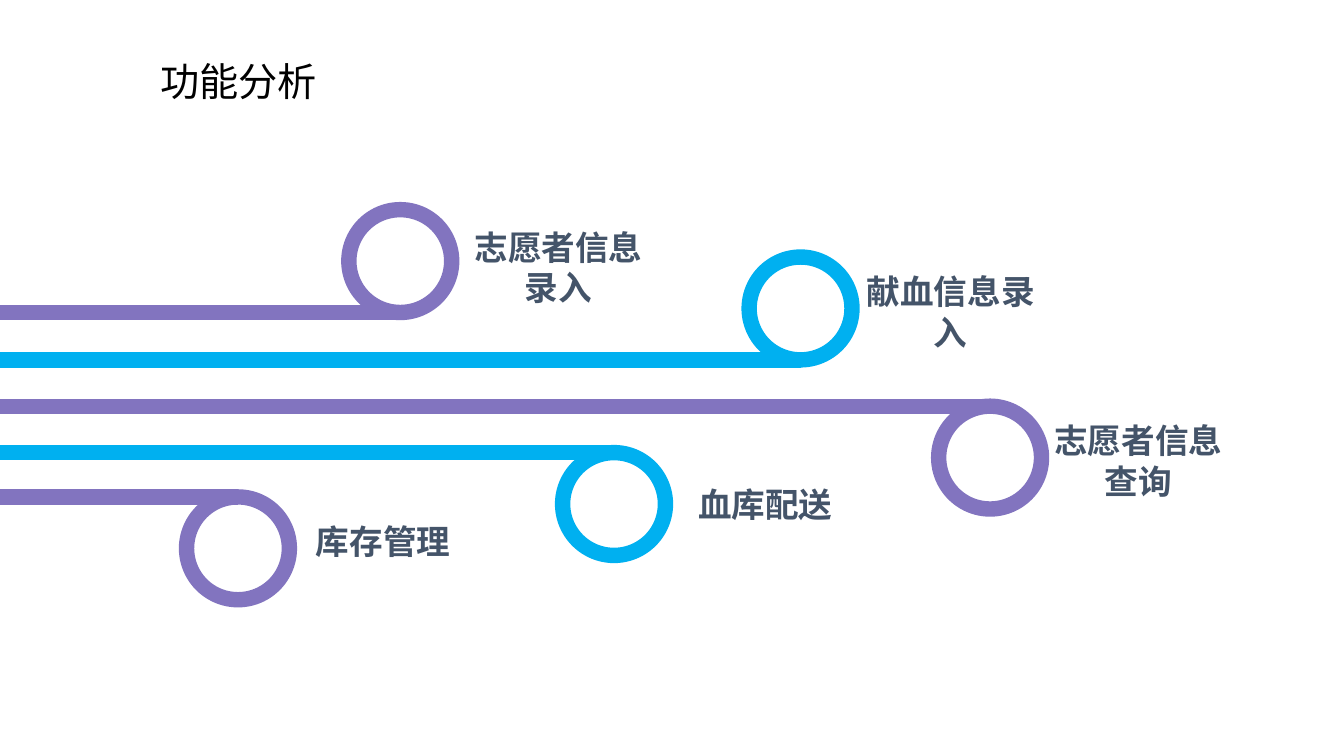
"""Build the function analysis slide: five tracks, each ending in a labelled ring."""
from pptx import Presentation
from pptx import util as u
from pptx.dml.color import RGBColor
from pptx.enum import shapes, text
from pptx.oxml import ns
from lxml import etree

PURPLE = RGBColor(0x82, 0x74, 0xBF)
BLUE = RGBColor(0x00, 0xB0, 0xF0)
SLATE = RGBColor(0x44, 0x54, 0x69)
BLACK = RGBColor(0x00, 0x00, 0x00)
WHITE = RGBColor(0xFF, 0xFF, 0xFF)

RING = 1.02
STROKE = u.Pt(11)
LABEL_LINE = 0.4

deck = Presentation()
deck.slide_width, deck.slide_height = u.Inches(13.33), u.Inches(7.5)
page = deck.slides.add_slide(deck.slide_layouts[6])


def add_text(words, left, top, width, height, font, size, color, align):
    box = page.shapes.add_textbox(*map(u.Inches, (left, top, width, height)))
    box.text_frame.word_wrap = True
    box.text_frame.text = words
    para = box.text_frame.paragraphs[0]
    para.alignment = align
    span = para.runs[0]
    span.font.name = font
    span.font.size = u.Pt(size)
    span.font.color.rgb = color
    east_asian = etree.SubElement(span.font._element, ns.qn("a:ea"))
    east_asian.set("typeface", font)
    return box


add_text("功能分析", 1.49, 0.52, 2.23, 0.57, "Noto Sans CJK SC", 28, BLACK,
         text.PP_ALIGN.JUSTIFY)

# track height, ring centre, ring above track, colour, label, label left, top, width, lines
tracks = [
    (3.10, 3.97, True, PURPLE, "志愿者信息录入", 4.56, 2.25, 1.96, 2),
    (3.57, 7.94, True, BLUE, "献血信息录入", 8.55, 2.69, 1.76, 2),
    (4.03, 9.82, False, PURPLE, "志愿者信息查询", 10.41, 4.17, 1.76, 2),
    (4.49, 6.09, False, BLUE, "血库配送", 6.71, 4.8, 1.76, 1),
    (4.93, 2.36, False, PURPLE, "库存管理", 2.92, 5.17, 1.76, 1),
]

for track_y, center, above, color, words, left, top, width, lines in tracks:
    ring_top = track_y - RING if above else track_y
    ring = page.shapes.add_shape(
        shapes.MSO_SHAPE.OVAL, u.Inches(center - RING / 2), u.Inches(ring_top),
        u.Inches(RING), u.Inches(RING))
    ring.shadow.inherit = False
    ring.fill.solid()
    ring.fill.fore_color.rgb = WHITE

    track = page.shapes.add_connector(
        shapes.MSO_CONNECTOR.STRAIGHT, u.Inches(center), u.Inches(track_y),
        0, u.Inches(track_y))
    etree.SubElement(track._element.spPr, ns.qn("a:effectLst"))

    for outline in (ring.line, track.line):
        outline.color.rgb = color
        outline.width = STROKE

    label = add_text(words, left, top, width, lines * LABEL_LINE, "Arial", 24, SLATE,
                     text.PP_ALIGN.CENTER)
    frame = label.text_frame
    frame.margin_left = frame.margin_right = frame.margin_top = frame.margin_bottom = 0
    frame.paragraphs[0].runs[0].font.bold = True

deck.save("out.pptx")
